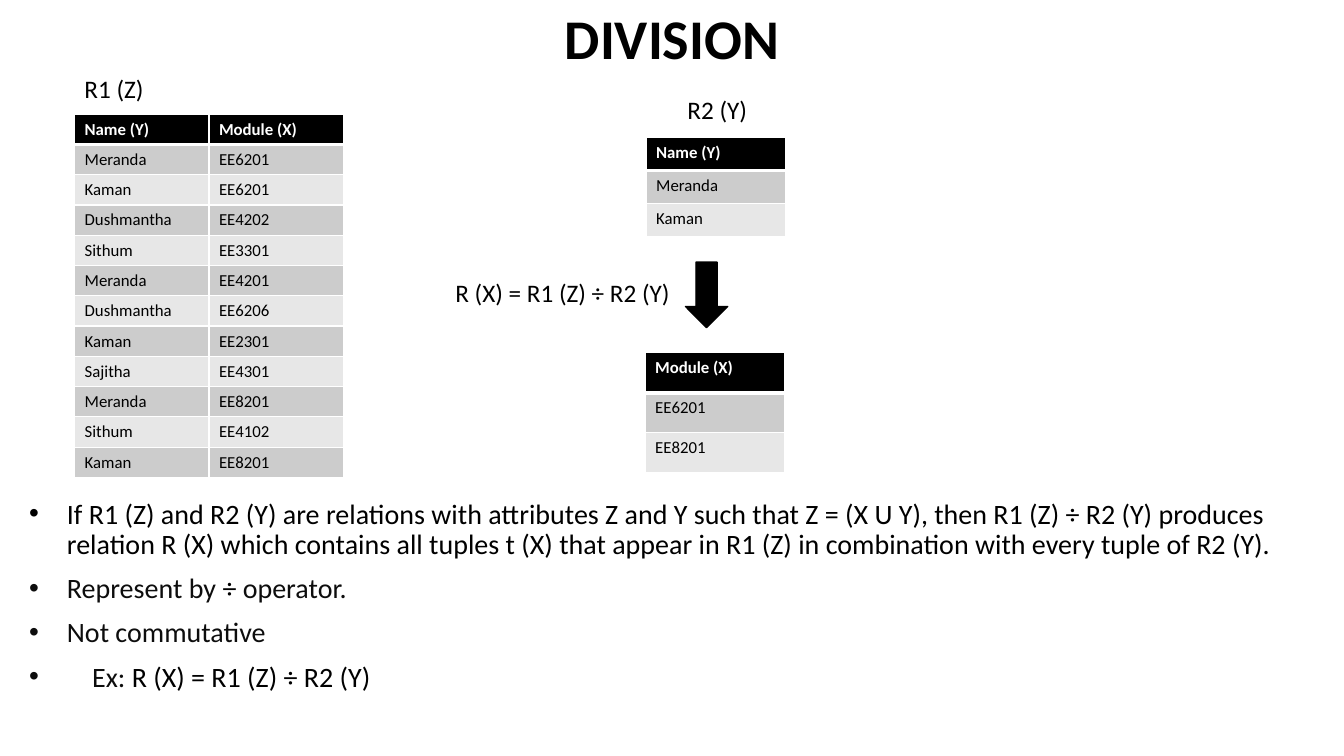
from pptx import Presentation
from pptx.dml.color import RGBColor
from pptx.enum import shapes, text
from pptx.oxml import parse_xml
from pptx.oxml.ns import nsdecls
from pptx.util import Pt

HUES = {"black": "000000", "ink": "0D0D0D", "white": "FFFFFF",
        "dark": "CCCCCC", "light": "E7E7E7"}
FONT = "Calibri"


def hue(name):
    return RGBColor.from_string(HUES[name])


def write(par, words, size=18, color="black", bold=False):
    run = par.add_run()
    run.text = words
    font = run.font
    font.name, font.size, font.bold = FONT, Pt(size), bold
    font.color.rgb = hue(color)


def edge(cell, side, width):
    line = parse_xml(
        f'<a:ln{side} {nsdecls("a")} w="{Pt(width)}"><a:solidFill>'
        f'<a:srgbClr val="{HUES["white"]}"/></a:solidFill></a:ln{side}>')
    props = cell._tc.get_or_add_tcPr()
    # Borders must come before the fill
    props.insert(len(props) - 1, line)


class Page:
    def __init__(self, deck):
        self.shapes = deck.slides.add_slide(deck.slide_layouts[6]).shapes

    def box(self, x, y, w, h):
        frame = self.shapes.add_textbox(Pt(x), Pt(y), Pt(w), Pt(h)).text_frame
        frame.word_wrap = True
        return frame

    def title(self, words, *place):
        frame = self.box(*place)
        frame.vertical_anchor = text.MSO_ANCHOR.BOTTOM
        par = frame.paragraphs[0]
        par.alignment = text.PP_ALIGN.CENTER
        par.line_spacing = 0.9
        write(par, words, size=40, bold=True)

    def label(self, words, *place):
        write(self.box(*place).paragraphs[0], words)

    def points(self, items, *place):
        frame = self.box(*place)
        for i, (left, runs) in enumerate(items):
            par = frame.add_paragraph() if i else frame.paragraphs[0]
            par.line_spacing = 0.9
            par.space_before = Pt(10)
            props = par._p.get_or_add_pPr()
            props.set("marL", str(Pt(left)))
            props.set("indent", str(-Pt(left)))
            props.append(parse_xml(f'<a:buFont {nsdecls("a")} typeface="Arial"/>'))
            props.append(parse_xml(f'<a:buChar {nsdecls("a")} char="•"/>'))
            for words, color in runs:
                write(par, words, size=20, color=color)

    def table(self, rows, x, y, wide, high):
        cols = len(rows[0])
        grid = self.shapes.add_table(len(rows), cols, Pt(x), Pt(y),
                                     Pt(wide * cols), Pt(high * len(rows))).table
        grid.first_row = grid.horz_banding = False
        for col in grid.columns:
            col.width = Pt(wide)
        for r, row in enumerate(rows):
            grid.rows[r].height = Pt(high)
            band = "dark" if r % 2 else "light"
            for c, words in enumerate(row):
                cell = grid.cell(r, c)
                cell.fill.solid()
                cell.fill.fore_color.rgb = hue(band if r else "black")
                write(cell.text_frame.paragraphs[0], words, size=12,
                      color="black" if r else "white", bold=r == 0)
                # A thick rule parts the header from the body
                edge(cell, "L", 1)
                edge(cell, "R", 1)
                edge(cell, "T", 3 if r == 1 else 1)
                edge(cell, "B", 3 if r == 0 else 1)

    def arrow(self, *place):
        shape = self.shapes.add_shape(shapes.MSO_SHAPE.DOWN_ARROW,
                                      *[Pt(n) for n in place])
        shape.shadow.inherit = False
        shape.fill.solid()
        shape.fill.fore_color.rgb = hue("black")
        shape.line.color.rgb = hue("black")
        shape.line.width = Pt(1)


def main():
    deck = Presentation()
    deck.slide_width, deck.slide_height = Pt(960), Pt(540)
    page = Page(deck)
    rule = "R (X) = R1 (Z) ÷ R2 (Y)"

    # Title
    page.title("DIVISION", 84, 15, 792, 40)

    # Explanation
    page.points([
        (27, [("If R1 (Z) and R2 (Y) are relations with attributes Z and Y "
               "such that Z = (X U Y), then R1 (Z) ÷ R2 (Y) produces relation "
               "R (X) which contains all tuples t (X) that appear in R1 (Z) "
               "in combination with every tuple of R2 (Y).", "black")]),
        (27, [("Represent by ", "ink"), ("÷", "black"), (" operator.", "ink")]),
        (27, [("Not commutative", "ink")]),
        (45, [("Ex: ", "ink"), (rule, "black")]),
    ], 13.7, 353.5, 960 - 13.7, 186.5)

    # Dividend relation
    page.label("R1 (Z)", 53.3, 49, 160, 29)
    page.table([
        ("Name (Y)", "Module (X)"),
        ("Meranda", "EE6201"), ("Kaman", "EE6201"),
        ("Dushmantha", "EE4202"), ("Sithum", "EE3301"),
        ("Meranda", "EE4201"), ("Dushmantha", "EE6206"),
        ("Kaman", "EE2301"), ("Sajitha", "EE4301"),
        ("Meranda", "EE8201"), ("Sithum", "EE4102"),
        ("Kaman", "EE8201"),
    ], 53.3, 81.5, 96, 21.6)

    # Divisor relation
    page.label("R2 (Y)", 484, 64, 153, 29)
    page.table([("Name (Y)",), ("Meranda",), ("Kaman",)], 461.5, 98, 99.4, 23.8)

    # Operation
    page.arrow(489.6, 187.2, 30.2, 46.8)
    page.label(rule, 318.2, 194.4, 205, 29)

    # Quotient relation
    page.table([("Module (X)",), ("EE6201",), ("EE8201",)], 460.8, 252, 99.4, 28.6)

    deck.save("out.pptx")


if __name__ == "__main__":
    main()
